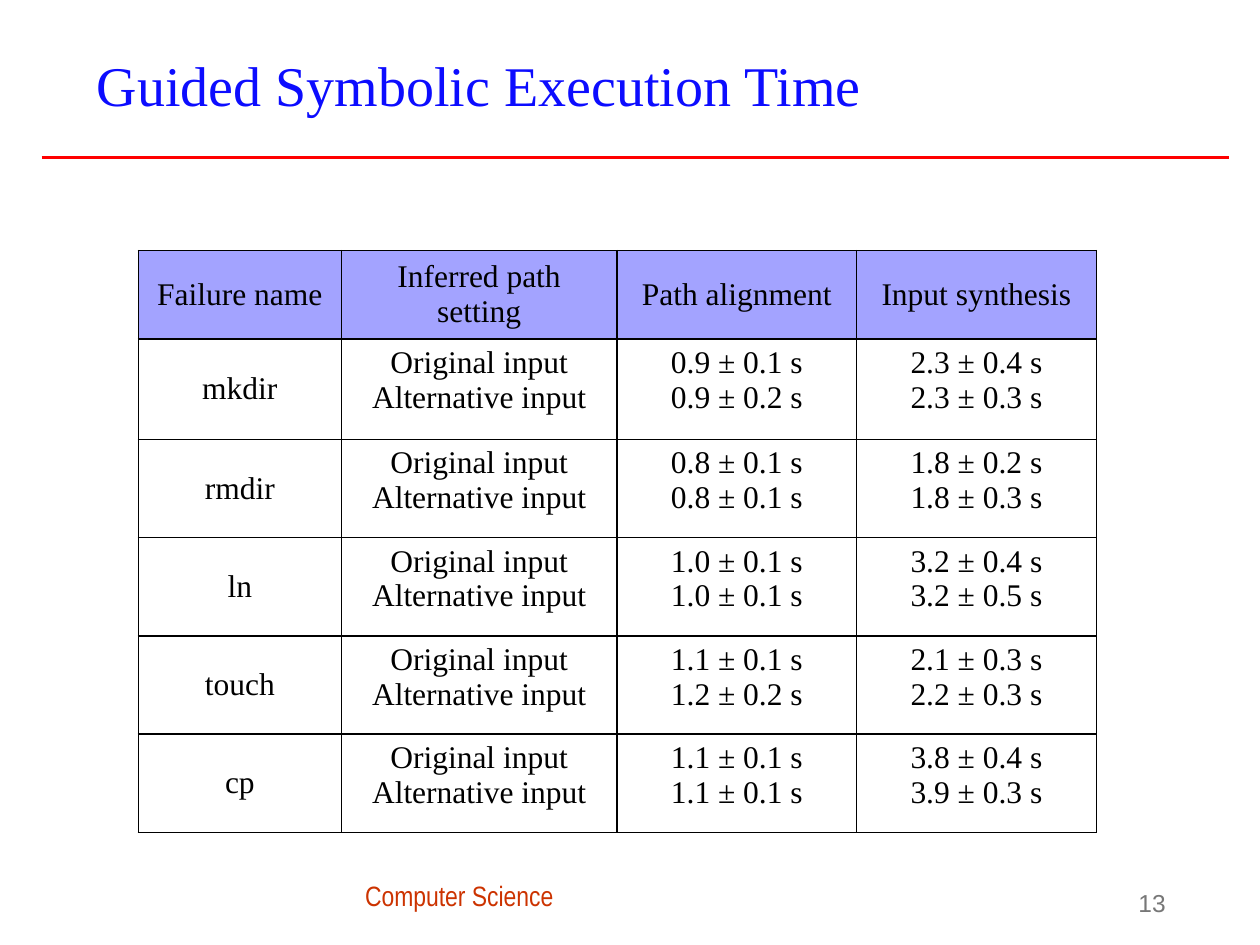
from typing import NamedTuple

from lxml.etree import SubElement
from pptx import Presentation
from pptx.dml.color import RGBColor
from pptx.enum.shapes import MSO_CONNECTOR
from pptx.enum.text import MSO_ANCHOR as Anchor, PP_ALIGN as Align
from pptx.oxml.ns import qn
from pptx.util import Cm, Pt

COLORS = {
    "title": "0C0CFF",
    "rule": "FF0000",
    "footer": "CC3300",
    "number": "777777",
    "header": "A3A3FF",
    "ink": "000000",
}
SERIF = "Times New Roman"


class Style(NamedTuple):
    font: str
    size: int
    color: str
    align: Align = Align.LEFT
    anchor: Anchor = Anchor.TOP


class Box(NamedTuple):
    left: float
    top: float
    width: float
    height: float


class Failure(NamedTuple):
    name: str
    alignment: list[str]
    synthesis: list[str]


TITLE = Style(SERIF, 32, "title", anchor=Anchor.MIDDLE)
FOOTER = Style("Arial Narrow", 16, "footer")
NUMBER = Style("Arial", 14, "number", Align.RIGHT, Anchor.MIDDLE)
LABEL = Style(SERIF, 18, "ink", Align.CENTER, Anchor.MIDDLE)
TIMING = LABEL._replace(anchor=Anchor.TOP)

HEADERS = ["Failure name", "Inferred path setting", "Path alignment", "Input synthesis"]
SETTINGS = ["Original input", "Alternative input"]
FAILURES = [
    Failure("mkdir", ["0.9 ± 0.1 s", "0.9 ± 0.2 s"], ["2.3 ± 0.4 s", "2.3 ± 0.3 s"]),
    Failure("rmdir", ["0.8 ± 0.1 s", "0.8 ± 0.1 s"], ["1.8 ± 0.2 s", "1.8 ± 0.3 s"]),
    Failure("ln", ["1.0 ± 0.1 s", "1.0 ± 0.1 s"], ["3.2 ± 0.4 s", "3.2 ± 0.5 s"]),
    Failure("touch", ["1.1 ± 0.1 s", "1.2 ± 0.2 s"], ["2.1 ± 0.3 s", "2.2 ± 0.3 s"]),
    Failure("cp", ["1.1 ± 0.1 s", "1.1 ± 0.1 s"], ["3.8 ± 0.4 s", "3.9 ± 0.3 s"]),
]
COLUMN_WIDTHS = [4.09, 5.56, 4.83, 4.83]
ROW_HEIGHTS = [1.7, 2.03] + [1.98] * 4


def rgb(name: str) -> RGBColor:
    return RGBColor.from_string(COLORS[name])


def write(frame, lines: list[str], style: Style) -> None:
    frame.text = "\n".join(lines)
    frame.word_wrap = True
    for paragraph in frame.paragraphs:
        paragraph.alignment = style.align
        paragraph.font.name = style.font
        paragraph.font.size = Pt(style.size)
        paragraph.font.color.rgb = rgb(style.color)


def add_text(slide, box: Box, text: str, style: Style) -> None:
    frame = slide.shapes.add_textbox(*map(Cm, box)).text_frame
    write(frame, [text], style)
    frame.vertical_anchor = style.anchor


def add_title(slide, box: Box, text: str) -> None:
    title = slide.shapes.title
    title.left, title.top, title.width, title.height = map(Cm, box)
    write(title.text_frame, [text], TITLE)
    title.text_frame.vertical_anchor = TITLE.anchor


def add_rule(slide, left: float, right: float, y: float) -> None:
    rule = slide.shapes.add_connector(
        MSO_CONNECTOR.STRAIGHT, Cm(left), Cm(y), Cm(right), Cm(y)
    )
    rule.line.color.rgb = rgb("rule")
    rule.line.width = Pt(1.5)
    SubElement(rule._element.spPr, qn("a:effectLst"))


def add_borders(cell) -> None:
    properties = cell._tc.get_or_add_tcPr()
    for side in ("L", "R", "T", "B"):
        border = SubElement(properties, qn(f"a:ln{side}"), w=str(Pt(1)))
        fill = SubElement(border, qn("a:solidFill"))
        SubElement(fill, qn("a:srgbClr"), val=COLORS["ink"])


def fill_cell(cell, lines: list[str], style: Style, is_header: bool) -> None:
    write(cell.text_frame, lines, style)
    cell.vertical_anchor = style.anchor
    add_borders(cell)
    if is_header:
        cell.fill.solid()
        cell.fill.fore_color.rgb = rgb("header")
    else:
        cell.fill.background()


def add_timings(slide, left: float, top: float) -> None:
    rows = [[[header] for header in HEADERS]]
    rows += [[[f.name], SETTINGS, f.alignment, f.synthesis] for f in FAILURES]
    timings = slide.shapes.add_table(
        len(rows), len(HEADERS), Cm(left), Cm(top),
        Cm(sum(COLUMN_WIDTHS)), Cm(sum(ROW_HEIGHTS)),
    ).table
    for column, width in zip(timings.columns, COLUMN_WIDTHS):
        column.width = Cm(width)
    for row, height in zip(timings.rows, ROW_HEIGHTS):
        row.height = Cm(height)
    for r, row in enumerate(rows):
        for c, lines in enumerate(row):
            style = LABEL if r == 0 or c == 0 else TIMING
            fill_cell(timings.cell(r, c), lines, style, r == 0)


def main() -> None:
    deck = Presentation()
    deck.slide_width, deck.slide_height = Cm(25.4), Cm(19.05)
    slide = deck.slides.add_slide(deck.slide_layouts[5])
    add_text(slide, Box(7.11, 17.58, 4.32, 0.94), "Computer Science", FOOTER)
    add_rule(slide, 0.84, 24.77, 3.18)
    add_title(slide, Box(1.7, 0.43, 22.89, 2.54), "Guided Symbolic Execution Time")
    add_text(slide, Box(18.47, 17.78, 5.28, 0.84), "13", NUMBER)
    add_timings(slide, 2.79, 5.05)
    deck.save("out.pptx")


if __name__ == "__main__":
    main()
